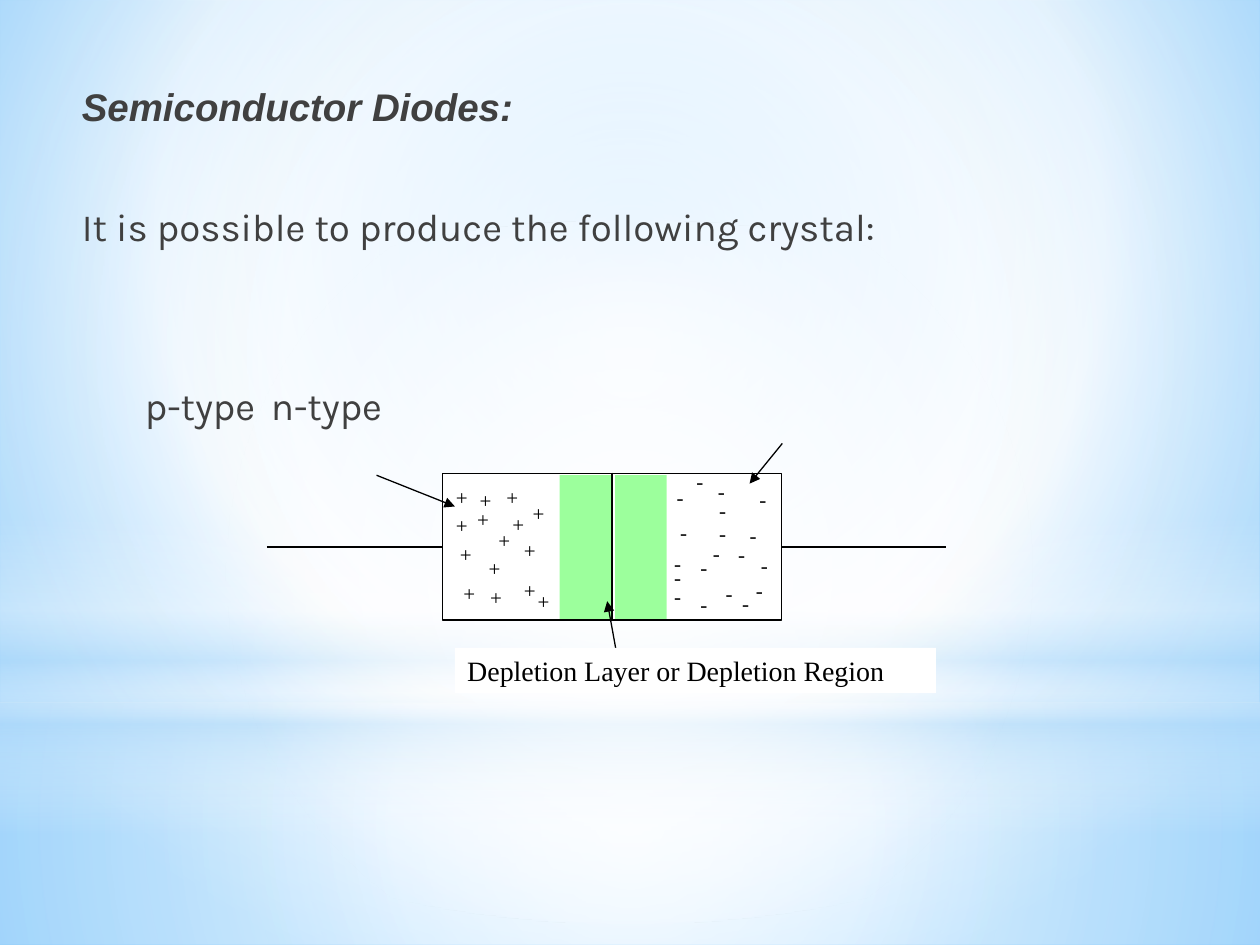
from typing import NamedTuple, Optional

from lxml.etree import SubElement
from pptx import Presentation
from pptx.dml.color import RGBColor
from pptx.enum.shapes import MSO_CONNECTOR as Link, MSO_SHAPE as Preset
from pptx.enum.text import MSO_ANCHOR as Anchor, MSO_AUTO_SIZE as Fit, PP_ALIGN as Align
from pptx.oxml.ns import qn
from pptx.util import Cm, Pt

INK, BLACK, WHITE, SKY, GREEN = "404040", "000000", "FFFFFF", "B4DCFA", "00FF00"
LEFT_SIDE, RIGHT_SIDE = 1, 3

HEADING = {"name": "Arial", "size": Pt(22), "bold": True, "italic": True}
BODY = {"name": "Karla", "size": Pt(22), "bold": False, "italic": False}
CARRIER = {"name": "Times New Roman", "size": Pt(12)}
CAPTION = {"name": "Times New Roman", "size": Pt(16)}


class Box(NamedTuple):
    """Left, top, width and height in cm."""
    left: float
    top: float
    width: float
    height: float

    def emu(self) -> list:
        return [Cm(value) for value in self]


class Stop(NamedTuple):
    position: int
    color: str
    opacity: int = 100


class Glow(NamedTuple):
    preset: Preset
    box: Box
    stops: list
    angle: Optional[int] = None


class Wire(NamedTuple):
    start: tuple
    end: tuple
    arrow: bool = False


CENTER = (50, 50, 50, 50)
BACKGROUND = [Stop(0, "9ED5FF"), Stop(60, WHITE), Stop(100, "5BB9FF")]
GLOWS = [
    Glow(Preset.RECTANGLE, Box(0, 14.17, 25.4, 4.88),
         [Stop(0, WHITE, 91), Stop(37, WHITE, 76), Stop(100, SKY, 79)]),
    Glow(Preset.RECTANGLE, Box(0, 0, 25.4, 14.17),
         [Stop(0, WHITE, 89), Stop(48, WHITE, 62), Stop(100, SKY, 79)]),
    Glow(Preset.RECTANGLE, Box(0, 10.46, 25.4, 6.35),
         [Stop(0, WHITE, 0), Stop(29, WHITE, 30), Stop(45, SKY, 40),
          Stop(55, WHITE, 26), Stop(65, SKY, 60), Stop(100, WHITE, 0)], 90),
    Glow(Preset.OVAL, Box(0, 4.45, 25.4, 14.17), [Stop(0, WHITE), Stop(56, WHITE, 0)]),
]

CRYSTAL = Box(8.92, 9.55, 6.83, 2.95)
DEPLETION_HALVES = [Box(left, 9.58, 1.04, 2.9) for left in (11.28, 12.4)]
LABEL = Box(9.17, 13.06, 9.7, 0.91)
LEAD_Y = CRYSTAL.top + CRYSTAL.height / 2
LEFT_LEAD = Wire((5.38, LEAD_Y), (CRYSTAL.left, LEAD_Y))
RIGHT_LEAD = Wire((CRYSTAL.left + CRYSTAL.width, LEAD_Y), (19.08, LEAD_Y))
JUNCTION = Wire((12.34, 9.53), (12.34, 12.52))
DEPLETION_ARROW = Wire((12.47, 13.39), (12.24, 12.12), True)
N_ARROW = Wire((15.77, 8.94), (15.11, 9.75), True)
P_ARROW = Wire((7.59, 9.58), (9.17, 10.21), True)

# Scattered charge carriers, keyed by sign
CARRIERS = {
    "+": [(8.94, 9.65), (9.37, 10.08), (9.63, 11.66), (9.02, 10.8), (10.31, 11.51),
          (10.49, 9.96), (9.09, 11.58), (10.31, 10.72), (9.96, 9.65), (9.42, 9.7),
          (8.94, 10.21), (9.8, 10.52), (9.6, 11.07), (10.59, 11.73), (10.08, 10.19)],
    "-": [(13.39, 9.65), (14.99, 11.51), (14.25, 10.36), (13.34, 11.25), (14.25, 9.91),
          (13.46, 10.34), (13.87, 11.81), (15.06, 9.68), (14.63, 10.8), (14.22, 9.53),
          (13.87, 11.05), (14.38, 11.58), (13.34, 10.97), (14.86, 10.41), (15.09, 11.02),
          (13.79, 9.32), (14.71, 11.79), (13.34, 11.63), (14.12, 10.77)],
}


def rgb(color: str) -> RGBColor:
    return RGBColor.from_string(color)


def set_opacity(color_element, percent: int) -> None:
    SubElement(color_element, qn("a:alpha"), val=str(percent * 1000))


def set_gradient(fill, owner, stops: list, angle: Optional[int] = None, focus=CENTER) -> None:
    fill.gradient()
    gradient = next(owner.iter(qn("a:gradFill")))
    for child in list(gradient):
        gradient.remove(child)
    stop_list = SubElement(gradient, qn("a:gsLst"))
    for stop in stops:
        mark = SubElement(stop_list, qn("a:gs"), pos=str(stop.position * 1000))
        color = SubElement(mark, qn("a:srgbClr"), val=stop.color)
        if stop.opacity < 100:
            set_opacity(color, stop.opacity)
    if angle is not None:
        SubElement(gradient, qn("a:lin"), ang=str(angle * 60000), scaled="0")
    else:
        circle = SubElement(gradient, qn("a:path"), {"path": "circle"})
        sides = {side: str(share * 1000) for side, share in zip("ltrb", focus)}
        SubElement(circle, qn("a:fillToRect"), sides)


def add_plain(shapes, box: Box, preset=Preset.RECTANGLE):
    shape = shapes.add_shape(preset, *box.emu())
    shape.shadow.inherit = False
    shape.line.fill.background()
    return shape


def add_block(shapes, box: Box, color: str, opacity: int = 100):
    block = add_plain(shapes, box)
    block.fill.solid()
    block.fill.fore_color.rgb = rgb(color)
    if opacity < 100:
        set_opacity(next(block._element.spPr.iter(qn("a:srgbClr"))), opacity)
    return block


def add_wire(shapes, wire: Wire):
    ends = [Cm(value) for value in (*wire.start, *wire.end)]
    line = shapes.add_connector(Link.STRAIGHT, *ends)
    line.line.color.rgb = rgb(BLACK)
    line.line.width = Pt(0.75)
    if wire.arrow:
        SubElement(line.line._get_or_add_ln(), qn("a:tailEnd"), type="triangle")
    SubElement(line._element.spPr, qn("a:effectLst"))
    return line


def write(paragraph, text: str, style: dict, color: str) -> None:
    run = paragraph.add_run()
    run.text = text
    paragraph.alignment = Align.LEFT
    for attribute, value in style.items():
        setattr(run.font, attribute, value)
    run.font.color.rgb = rgb(color)


def place(placeholder, box: Box):
    placeholder.left, placeholder.top, placeholder.width, placeholder.height = box.emu()
    frame = placeholder.text_frame
    settings = {"margin_left": Cm(0.38), "margin_top": 0, "margin_bottom": 0,
                "vertical_anchor": Anchor.TOP, "word_wrap": True, "auto_size": Fit.NONE}
    for attribute, value in settings.items():
        setattr(frame, attribute, value)
    return frame


def add_body_line(paragraph, text: str, before: float, tabs: tuple = ()) -> None:
    props = paragraph._p.get_or_add_pPr()
    props.set("marL", "0")
    props.set("indent", "0")
    SubElement(props, qn("a:buNone"))
    if tabs:
        tab_list = SubElement(props, qn("a:tabLst"))
        for tab in tabs:
            SubElement(tab_list, qn("a:tab"), pos=str(Cm(tab)), algn="l")
    paragraph.space_before = Pt(before)
    write(paragraph, text, BODY, INK)


def draw_diode(shapes) -> None:
    crystal = add_block(shapes, CRYSTAL, WHITE)
    crystal.line.color.rgb = rgb(BLACK)
    crystal.line.width = Pt(0.75)
    add_wire(shapes, LEFT_LEAD).end_connect(crystal, LEFT_SIDE)
    add_wire(shapes, RIGHT_LEAD).begin_connect(crystal, RIGHT_SIDE)
    add_wire(shapes, JUNCTION)
    for half in DEPLETION_HALVES:
        add_block(shapes, half, GREEN, 39)
    for sign, spots in CARRIERS.items():
        for left, top in spots:
            carrier = shapes.add_textbox(*Box(left, top, 0.74, 0.71).emu())
            carrier.text_frame.word_wrap = True
            write(carrier.text_frame.paragraphs[0], sign, CARRIER, BLACK)
    for arrow in (P_ARROW, N_ARROW, DEPLETION_ARROW):
        add_wire(shapes, arrow)
    label = add_block(shapes, LABEL, WHITE).text_frame
    label.vertical_anchor = Anchor.TOP
    write(label.paragraphs[0], "Depletion Layer or Depletion Region", CAPTION, BLACK)


def main() -> None:
    deck = Presentation()
    deck.slide_width, deck.slide_height = Cm(25.4), Cm(19.05)
    slide = deck.slides.add_slide(deck.slide_layouts[1])
    title, body = slide.placeholders

    # Sky backdrop
    set_gradient(slide.background.fill, slide._element, BACKGROUND, focus=(20, 10, 20, 60))
    for glow in GLOWS:
        veil = add_plain(slide.shapes, glow.box, glow.preset)
        set_gradient(veil.fill, veil._element, glow.stops, glow.angle)

    # Text, raised above the backdrop
    for placeholder in (title, body):
        slide.shapes._spTree.append(placeholder._element)
    heading = place(title, Box(1.27, 1.68, 23.29, 1.1))
    write(heading.paragraphs[0], "Semiconductor Diodes:", HEADING, INK)
    content = place(body, Box(1.27, 4.09, 23.29, 4.8))
    add_body_line(content.paragraphs[0], "It is possible to produce the following crystal:", 0)
    add_body_line(content.add_paragraph(), "\tp-type\tn-type", 76, (5.08, 15.24))

    # Diode diagram
    draw_diode(slide.shapes.add_group_shape().shapes)
    deck.save("out.pptx")


if __name__ == "__main__":
    main()
